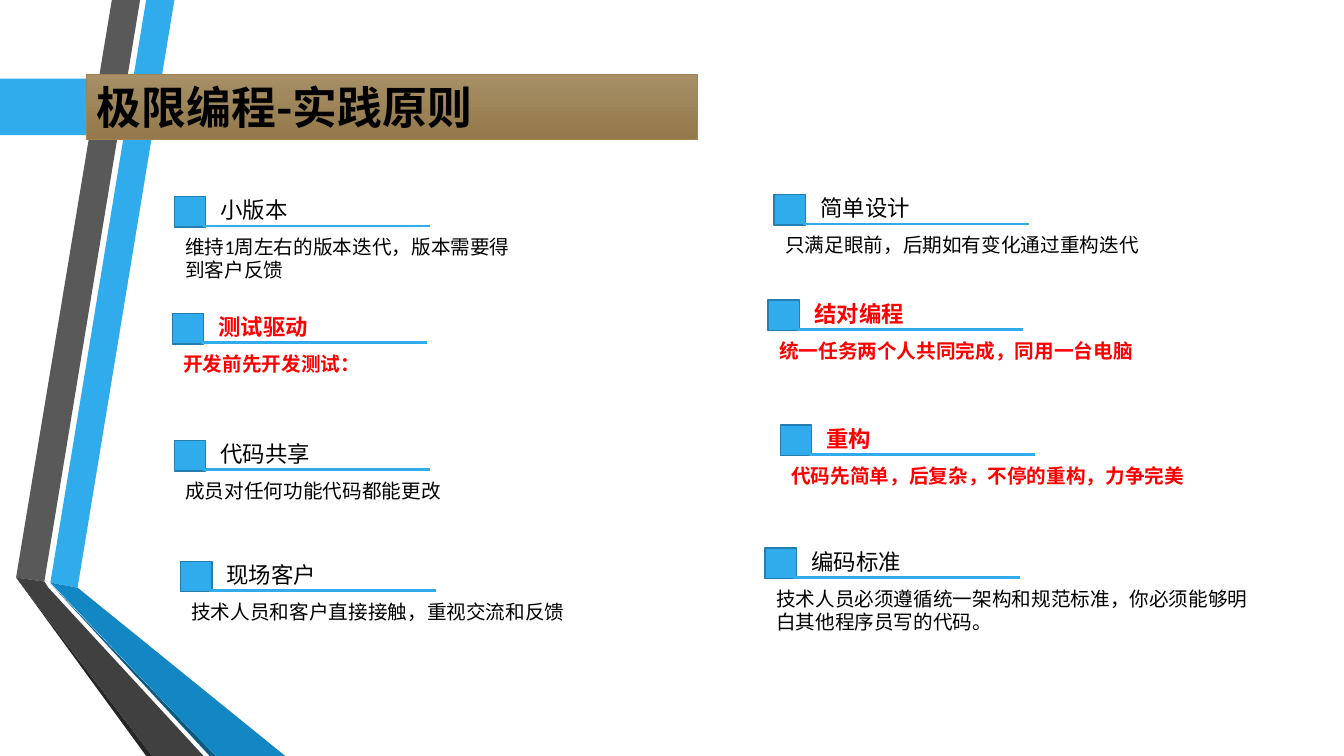
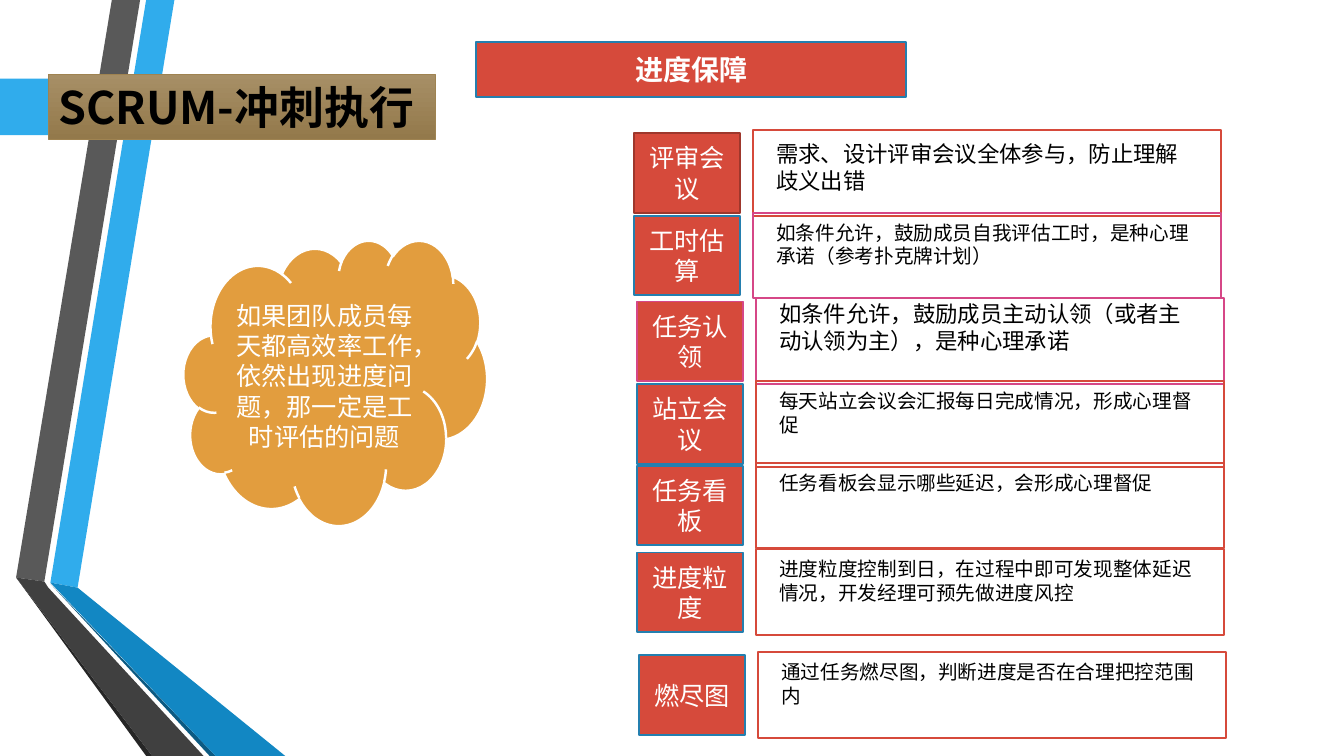
from lxml import etree
from pptx import Presentation
from pptx.dml.color import RGBColor
from pptx.enum.shapes import MSO_CONNECTOR, MSO_SHAPE
from pptx.enum.text import MSO_ANCHOR, PP_ALIGN
from pptx.oxml.ns import qn
from pptx.util import Inches, Pt

RECTANGLE, PENTAGON, CLOUD = MSO_SHAPE.RECTANGLE, MSO_SHAPE.PENTAGON, MSO_SHAPE.CLOUD
STRAIGHT = MSO_CONNECTOR.STRAIGHT
LEFT, CENTER = PP_ALIGN.LEFT, PP_ALIGN.CENTER
TOP, MIDDLE = MSO_ANCHOR.TOP, MSO_ANCHOR.MIDDLE

BODY_FONT, TITLE_FONT = "Calibri", "Noto Sans CJK SC"
COLORS = {name: RGBColor.from_string(value) for name, value in {
    "blue": "30ACEC", "blue edge": "247FAF", "blue fold": "1287C3", "blue shade": "0C5A82",
    "gray": "595959", "gray fold": "404040", "gray shade": "262626",
    "gold light": "A78F66", "gold dark": "93794B", "gold edge": "9F8351",
    "red": "D64A3B", "red edge": "9E372C", "pink": "D64787", "orange": "E29D3E",
    "alert": "FF0000", "black": "000000", "white": "FFFFFF",
}.items()}

# Ribbon along the left edge, back to front
RIBBON = [
    ("blue", [(0.5, 5.78), (0.77, 5.83), (1.73, 0), (1.45, 0)]),
    ("gray", [(1.39, 0), (1.11, 0), (0.16, 5.73), (0.44, 5.77)]),
    ("gray shade", [(0.16, 5.73), (1.45, 7.5), (1.51, 7.5)]),
    ("blue shade", [(0.5, 5.79), (2.08, 7.5), (2.14, 7.5)]),
    ("blue fold", [(0.5, 5.78), (2.14, 7.5), (2.83, 7.5), (0.77, 5.83)]),
    ("gray fold", [(2.02, 7.5), (0.48, 5.83), (0.44, 5.77), (0.16, 5.73), (1.51, 7.5)]),
]

# Title, title left, title width, tip of the blue tab
TITLES = [
    ("极限编程-实践原则", 0.86, 6.06, 3.16),
    ("SCRUM-冲刺执行", 0.48, 3.84, 1.73),
]

# Left, top, body width, colour, heading, body
PRACTICES = [
    (1.73, 1.95, 3.6, "black", "小版本", "维持1周左右的版本迭代，版本需要得到客户反馈"),
    (7.68, 1.93, 5.03, "black", "简单设计", "只满足眼前，后期如有变化通过重构迭代"),
    (1.71, 3.11, 5.03, "alert", "测试驱动", "开发前先开发测试："),
    (7.62, 2.98, 5.03, "alert", "结对编程", "统一任务两个人共同完成，同用一台电脑"),
    (1.73, 4.37, 5.03, "black", "代码共享", "成员对任何功能代码都能更改"),
    (7.74, 4.22, 5.03, "alert", "重构", "代码先简单，后复杂，不停的重构，力争完美"),
    (1.79, 5.57, 5.03, "black", "现场客户", "技术人员和客户直接接触，重视交流和反馈"),
    (7.59, 5.44, 5.03, "black", "编码标准",
     "技术人员必须遵循统一架构和规范标准，你必须能够明白其他程序员写的代码。"),
]

# Left, top, text top, text size, label edge, frame edge, label, text
SAFEGUARDS = [
    (6.29, 1.32, 1.34, 16, "red edge", "red", "评审会议",
     "需求、设计评审会议全体参与，防止理解歧义出错"),
    (6.29, 2.14, 2.14, 14, "blue edge", "pink", "工时估算",
     "如条件允许，鼓励成员自我评估工时，是种心理承诺（参考扑克牌计划）"),
    (6.32, 2.99, 2.93, 16, "pink", "pink", "任务认领",
     "如条件允许，鼓励成员主动认领（或者主动认领为主），是种心理承诺"),
    (6.32, 3.81, 3.81, 14, "blue edge", "red", "站立会议",
     "每天站立会议会汇报每日完成情况，形成心理督促"),
    (6.32, 4.62, 4.62, 14, "blue edge", "red", "任务看板",
     "任务看板会显示哪些延迟，会形成心理督促"),
    (6.32, 5.48, 5.48, 14, "blue edge", "red", "进度粒度",
     "进度粒度控制到日，在过程中即可发现整体延迟情况，开发经理可预先做进度风控"),
    (6.34, 6.5, 6.5, 14, "blue edge", "red", "燃尽图",
     "通过任务燃尽图，判断进度是否在合理把控范围内"),
]


def add_box(slide, kind, left, top, width, height, fill=None, edge=None, weight=1.25):
    shape = slide.shapes.add_shape(kind, Inches(left), Inches(top), Inches(width), Inches(height))
    shape.shadow.inherit = False
    if fill:
        shape.fill.solid()
        shape.fill.fore_color.rgb = COLORS[fill]
    else:
        shape.fill.background()
    if edge:
        shape.line.color.rgb = COLORS[edge]
        shape.line.width = Pt(weight)
    else:
        shape.line.fill.background()
    return shape


def write(shape, text, size, color, bold=False, align=LEFT, anchor=TOP, font=BODY_FONT):
    frame = shape.text_frame
    frame.word_wrap = True
    frame.vertical_anchor = anchor
    paragraph = frame.paragraphs[0]
    paragraph.alignment = align
    run = paragraph.add_run()
    run.text = text
    run.font.size = Pt(size)
    run.font.bold = bold
    run.font.name = font
    run.font.color.rgb = COLORS[color]
    east_asian = etree.SubElement(run.font._element, qn("a:ea"))
    east_asian.set("typeface", TITLE_FONT)


presentation = Presentation()
presentation.slide_width, presentation.slide_height = Inches(13.33), Inches(7.5)

# Shared ribbon, tab and title band
slides = []
for title, left, width, tip in TITLES:
    slide = presentation.slides.add_slide(presentation.slide_layouts[6])
    slides.append(slide)
    for color, points in RIBBON:
        corners = [(Inches(x), Inches(y)) for x, y in points]
        builder = slide.shapes.build_freeform(*corners[0])
        builder.add_line_segments(corners[1:], close=True)
        band = builder.convert_to_shape()
        band.shadow.inherit = False
        band.fill.solid()
        band.fill.fore_color.rgb = COLORS[color]
        band.line.fill.background()
    add_box(slide, PENTAGON, 0, 0.78, tip, 0.56, "blue")
    title_band = add_box(slide, RECTANGLE, left, 0.74, width, 0.64, "gold light", "gold edge", 0.75)
    title_band.fill.gradient()
    title_band.fill.gradient_angle = 270
    for stop, color in zip(title_band.fill.gradient_stops, ("gold light", "gold dark")):
        stop.color.rgb = COLORS[color]
    write(title_band, title, 32, "black", bold=True, anchor=MIDDLE, font=TITLE_FONT)

practice_slide, sprint_slide = slides

# Practices: square marker, rule, heading and body
for left, top, width, color, heading, body in PRACTICES:
    add_box(practice_slide, RECTANGLE, left, top, 0.31, 0.3, "blue", "blue edge")
    rule = practice_slide.shapes.add_connector(
        STRAIGHT, Inches(left + 0.28), Inches(top + 0.29), Inches(left + 2.53), Inches(top + 0.29))
    rule.line.color.rgb = COLORS["blue"]
    rule.line.width = Pt(1.75)
    etree.SubElement(rule._element.spPr, qn("a:effectLst"))
    for text, size, x, y, box_width, height in (
            (heading, 16, left + 0.36, top - 0.05, 2.16, 0.37),
            (body, 14, left + 0.01, top + 0.33, width, 0.57)):
        text_box = practice_slide.shapes.add_textbox(
            Inches(x), Inches(y), Inches(box_width), Inches(height))
        write(text_box, text, size, color, bold=color == "alert")

# Sprint header and cloud
header = add_box(sprint_slide, RECTANGLE, 4.72, 0.42, 4.27, 0.54, "red", "blue edge")
write(header, "进度保障", 20, "white", bold=True, align=CENTER, anchor=MIDDLE)
cloud = add_box(sprint_slide, CLOUD, 1.82, 2.38, 3.01, 2.83, "orange", "white", 1.75)
write(cloud, "如果团队成员每天都高效率工作，依然出现进度问题，那一定是工时评估的问题",
      18, "white", align=CENTER, anchor=MIDDLE)

# Safeguards: label, frame and explanation
for left, top, text_top, size, label_edge, frame_edge, label_text, text in SAFEGUARDS:
    label = add_box(sprint_slide, RECTANGLE, left, top, 1.05, 0.79, "red", label_edge)
    write(label, label_text, 18, "white", align=CENTER, anchor=MIDDLE)
    add_box(sprint_slide, RECTANGLE, left + 1.18, top - 0.03, 4.64, 0.85, edge=frame_edge)
    text_box = sprint_slide.shapes.add_textbox(
        Inches(left + 1.31), Inches(text_top), Inches(4.32), Inches(0.64))
    write(text_box, text, size, "black")

presentation.save("out.pptx")
